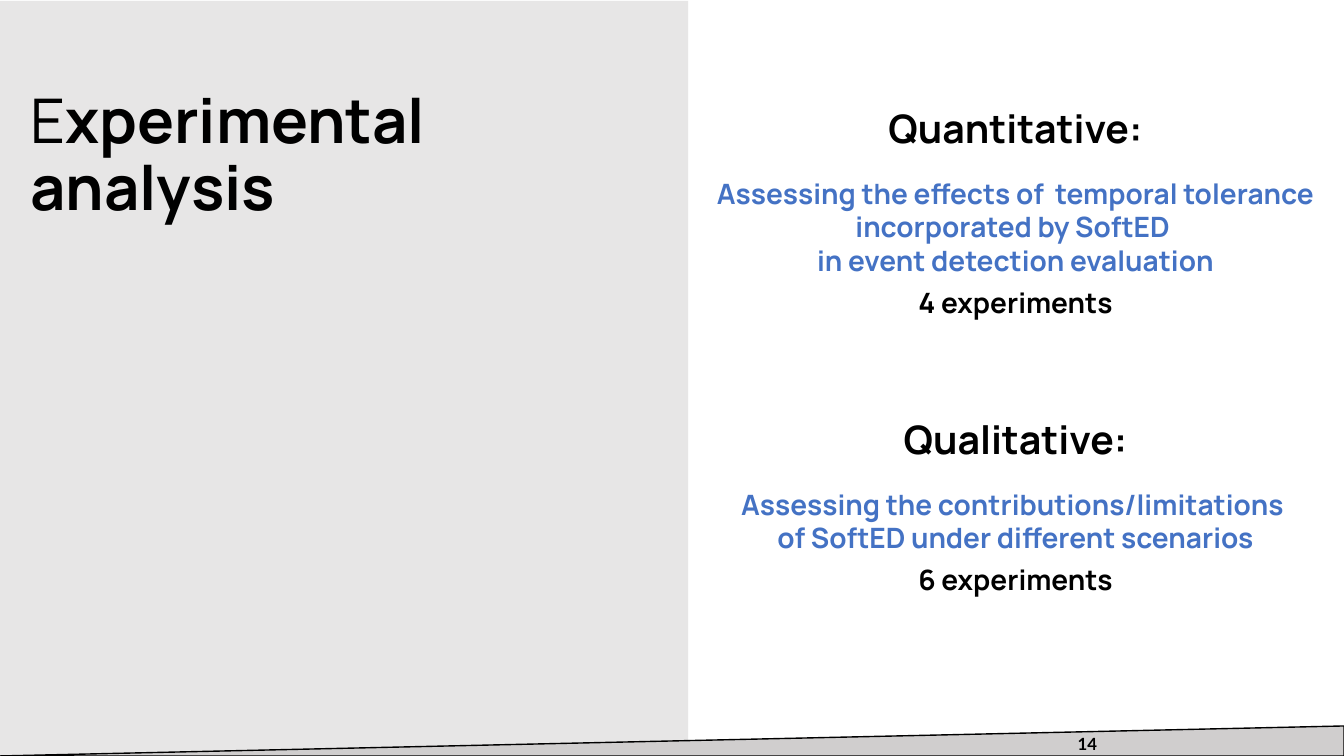
from lxml.etree import SubElement
from pptx import Presentation
from pptx.dml.color import RGBColor
from pptx.enum.shapes import MSO_SHAPE as Shape
from pptx.enum.text import MSO_ANCHOR as Anchor, MSO_AUTO_SIZE as Fit, PP_ALIGN as Align
from pptx.oxml.ns import qn
from pptx.util import Emu, Pt

INK = {"black": "000000", "blue": "4472C4", "panel": "E7E6E6", "strip": "D0CECE"}
UNIT = 914400 / 100.8


def px(n):
    """Turn px into EMU."""
    return Emu(round(n * UNIT))


def tint(name):
    """Return a named colour."""
    return RGBColor.from_string(INK[name])


def place(item, box):
    """Move a shape to a box."""
    item.left, item.top, item.width, item.height = map(px, box)


def write(para, text, size, bold=True, color="black", font="Manrope", align=Align.LEFT, after=0, lead=1.0):
    """Add text to a paragraph and format it."""
    old = len(para.runs)
    for i, line in enumerate(text.split("\n")):
        if i:
            para.add_line_break()
        para.add_run().text = line
    props = para._p.get_or_add_pPr()
    if props.find(qn("a:buNone")) is None:
        props.set("marL", "0")
        props.set("indent", "0")
        SubElement(props, qn("a:buNone"))
    para.alignment, para.line_spacing = align, lead
    para.space_before, para.space_after = Pt(0), Pt(after)
    for run in para.runs[old:]:
        run.font.size, run.font.bold, run.font.name = Pt(size), bold, font
        run.font.color.rgb = tint(color)
    for gap in para._p.findall(qn("a:br")):
        SubElement(gap, qn("a:rPr")).set("sz", str(size * 100))


def frame(item, anchor, fit=Fit.NONE):
    """Set up a text frame and return it."""
    text = item.text_frame
    text.word_wrap, text.auto_size, text.vertical_anchor = True, fit, anchor
    return text


def back(slide, kind, box, fill, depth):
    """Add a filled shape behind the text."""
    item = slide.shapes.add_shape(kind, *map(px, box))
    item.shadow.inherit = False
    item.fill.solid()
    item.fill.fore_color.rgb = tint(fill)
    item.line.fill.background()
    slide.shapes._spTree.insert(2 + depth, item._element)
    return item


def scene(slide, box):
    """Draw the left panel and the sloping foot strip."""
    x, y, w, h = box
    panel = back(slide, Shape.ROUNDED_RECTANGLE, (x, y + 1, 688, h - 1), "panel", 0)
    panel.adjustments[0] = 0
    strip = back(slide, Shape.RIGHT_TRIANGLE, (x, y + h - 30, w, 30), "strip", 1)
    strip.line.color.rgb = tint("black")
    strip.line.width = Pt(1)
    strip._element.spPr.xfrm.set("flipH", "1")


def title(slide, box):
    """Fill the title with a light first letter."""
    item = slide.shapes.title
    place(item, box)
    para = frame(item, Anchor.MIDDLE).paragraphs[0]
    write(para, "E", 44, bold=False, lead=0.9)
    write(para, "xperimental analysis", 44, lead=0.9)


def study(item, box, head, goal, count):
    """Fill a body with a heading, a goal and a count."""
    place(item, box)
    text = frame(item, Anchor.TOP, Fit.SHAPE_TO_FIT_TEXT)
    write(text.paragraphs[0], head, 28, align=Align.CENTER, after=18)
    write(text.add_paragraph(), goal, 20, color="blue", align=Align.CENTER, after=6)
    write(text.add_paragraph(), count, 20, align=Align.CENTER, after=6)


def number(slide, box):
    """Add the page number."""
    item = slide.shapes.add_textbox(*map(px, box))
    write(frame(item, Anchor.MIDDLE).paragraphs[0], "14", 12, font="Lato", align=Align.RIGHT)


def main():
    """Build and save the slide."""
    deck = Presentation()
    deck.slide_width, deck.slide_height = px(1344), px(756)
    slide = deck.slides.add_slide(deck.slide_layouts[3])
    scene(slide, (0, 0, 1344, 756))
    title(slide, (20, 2, 668, 310))
    upper, lower = slide.placeholders[1], slide.placeholders[2]
    study(upper, (688, 99, 655, 228), "Quantitative:",
          "Assessing the effects of  temporal tolerance\nincorporated by SoftED \nin event detection evaluation",
          "4 experiments")
    study(lower, (688, 410, 655, 194), "Qualitative:",
          "Assessing the contributions/limitations \nof SoftED under different scenarios",
          "6 experiments")
    number(slide, (880, 724, 227, 40))
    deck.save("out.pptx")


if __name__ == "__main__":
    main()
